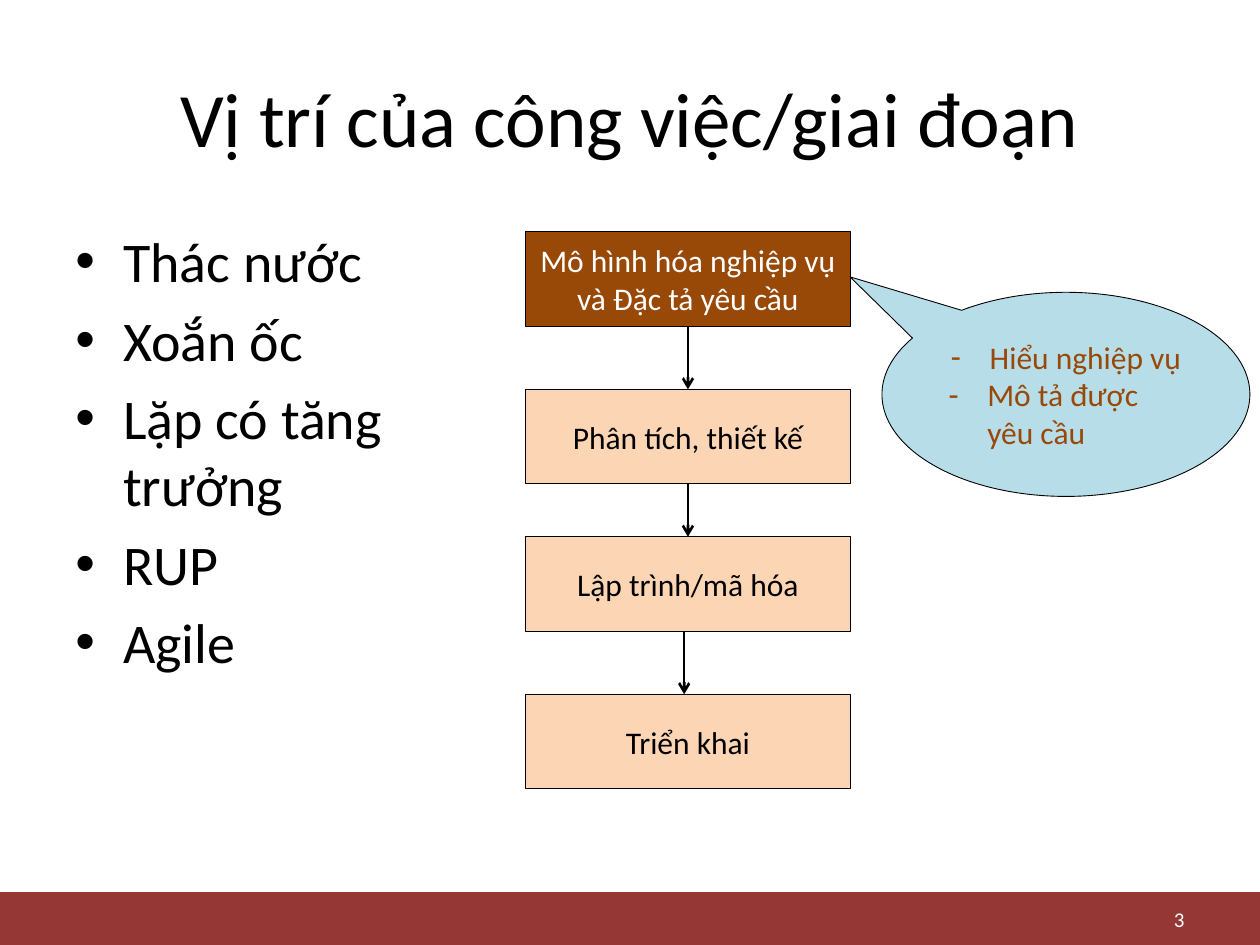
import lxml.etree
import pptx
import pptx.dml.color
import pptx.enum.shapes
import pptx.enum.text
import pptx.oxml.ns
import pptx.util

Inches = pptx.util.Inches
Pt = pptx.util.Pt
ALIGN = pptx.enum.text.PP_ALIGN
ANCHOR = pptx.enum.text.MSO_ANCHOR
SHAPE = pptx.enum.shapes.MSO_SHAPE
LINK = pptx.enum.shapes.MSO_CONNECTOR

BLACK, WHITE = "000000", "FFFFFF"
BROWN, PEACH, BLUE, RED = "984807", "FCD5B5", "B7DEE8", "953735"


def color(code):
    return pptx.dml.color.RGBColor.from_string(code)


def apply(item, form):
    for name, value in form.items():
        setattr(item, name, value)


def add_node(parent, tag, **attrs):
    return lxml.etree.SubElement(parent, pptx.oxml.ns.qn(tag), attrs)


def add_mark(para, mark, indent):
    props = para._p.get_or_add_pPr()
    props.set("marL", str(Inches(indent)))
    props.set("indent", str(Inches(-indent)))
    add_node(props, "a:buFont", typeface="Arial")
    add_node(props, "a:buChar", char=mark)


def write(shape, lines, size, code, aligns, anchor=ANCHOR.MIDDLE,
          mark=None, indent=0, before=0):
    frame = shape.text_frame
    apply(frame, {"word_wrap": True, "vertical_anchor": anchor})
    for i, (line, align) in enumerate(zip(lines, aligns)):
        para = frame.add_paragraph() if i else frame.paragraphs[0]
        apply(para, {"alignment": align, "space_before": Pt(before)})
        if mark:
            add_mark(para, mark, indent)
        run = para.add_run()
        run.text = line
        apply(run.font, {"name": "Calibri", "size": Pt(size)})
        run.font.color.rgb = color(code)


def add_text(slide, box, *args, **form):
    shape = slide.shapes.add_textbox(*map(Inches, box))
    write(shape, *args, **form)


def add_block(slide, kind, box, fill, line=BLACK):
    shape = slide.shapes.add_shape(kind, *map(Inches, box))
    shape.shadow.inherit = False
    shape.fill.solid()
    shape.fill.fore_color.rgb = color(fill)
    if line:
        shape.line.color.rgb = color(line)
        shape.line.width = Pt(0.5)
    else:
        shape.line.fill.background()
    return shape


def add_arrow(slide, x, top, end):
    arrow = slide.shapes.add_connector(
        LINK.STRAIGHT, *map(Inches, (x, top, x, end)))
    arrow.line.color.rgb = color(BLACK)
    arrow.line.width = Pt(1.5)
    props = arrow._element.spPr
    add_node(props.find(pptx.oxml.ns.qn("a:ln")), "a:tailEnd", type="arrow")
    add_node(props, "a:effectLst")


def add_title(slide, box):
    add_text(slide, box, ["Vị trí của công việc/giai đoạn"], 44, BLACK, [ALIGN.CENTER])


def add_list(slide, box):
    lines = ["Thác nước", "Xoắn ốc", "Lặp có tăng trưởng", "RUP", "Agile"]
    add_text(slide, box, lines, 32, BLACK, [ALIGN.LEFT] * len(lines),
             anchor=ANCHOR.TOP, mark="•", indent=0.38, before=6.4)


def add_flow(slide, box):
    left, top, width, height = box
    tall = 0.75
    steps = [
        ("Mô hình hóa nghiệp vụ và Đặc tả yêu cầu", 0, BROWN, WHITE),
        ("Phân tích, thiết kế", 1.25, PEACH, BLACK),
        ("Lập trình/mã hóa", 2.42, PEACH, BLACK),
        ("Triển khai", height - tall, PEACH, BLACK),
    ]
    for text, down, fill, ink in steps:
        step = add_block(slide, SHAPE.RECTANGLE, (left, top + down, width, tall), fill)
        write(step, [text], 18, ink, [ALIGN.CENTER])
    mid = left + width / 2
    for x, above, below in zip((mid, mid, mid - 0.03), steps, steps[1:]):
        add_arrow(slide, x, top + above[1] + tall, top + below[1])


def add_note(slide, box):
    note = add_block(slide, SHAPE.OVAL_CALLOUT, box, BLUE)
    note.adjustments[0] = -0.587
    note.adjustments[1] = -0.576
    write(note, ["Hiểu nghiệp vụ", "Mô tả được yêu cầu"], 18, BROWN,
          [ALIGN.CENTER, ALIGN.LEFT], mark="-", indent=0.31)


def add_foot(slide, box):
    left, top, width, height = box
    add_block(slide, SHAPE.RECTANGLE, box, RED, line=None)
    add_text(slide, (left + width - 2.83, top + 0.05, 2.33, 0.33),
             ["3"], 12, WHITE, [ALIGN.RIGHT])


def main():
    deck = pptx.Presentation()
    apply(deck, {"slide_width": Inches(10), "slide_height": Inches(7.5)})
    slide = deck.slides.add_slide(deck.slide_layouts[6])
    add_foot(slide, (0, 7.08, 10, 0.42))
    add_title(slide, (0.5, 0.3, 9, 1.25))
    add_list(slide, (0.5, 1.75, 3.75, 4.95))
    add_flow(slide, (4.17, 1.84, 2.58, 4.42))
    add_note(slide, (7, 2.32, 2.92, 1.62))
    deck.save("out.pptx")


if __name__ == "__main__":
    main()
